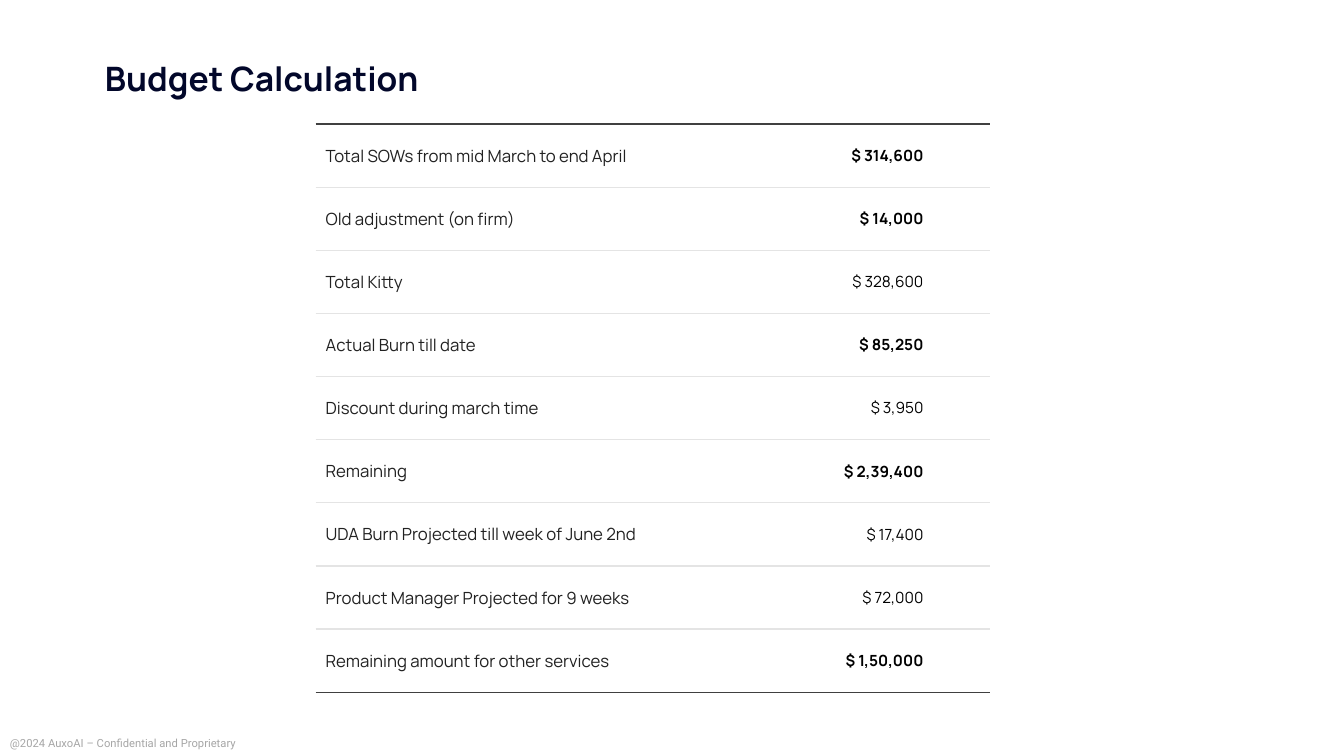
from pptx import Presentation
from pptx import util as u
from pptx.dml import color as c
from pptx.enum import text as t
from pptx.oxml import parse_xml
from pptx.oxml import ns

HUES = {"navy": "02072A", "ink": "212121", "black": "000000",
        "gray": "A6A6A6", "rule": "E4E4E4", "edge": "404040"}


def style(par, hue, **vals):
    for key, val in vals.items():
        setattr(par.font, key, val)
    par.font.color.rgb = c.RGBColor.from_string(HUES[hue])


def border(cell, top, base):
    props = cell._tc.get_or_add_tcPr()
    sides = {"L": None, "R": None, "T": top, "B": base}
    for spot, (side, hue) in enumerate(sides.items()):
        fill = (f'<a:solidFill><a:srgbClr val="{HUES[hue]}"/></a:solidFill>'
                if hue else "<a:noFill/>")
        line = f'<a:ln{side} {ns.nsdecls("a")} w="12700">{fill}</a:ln{side}>'
        props.insert(spot, parse_xml(line))


# Slide
deck = Presentation()
deck.slide_width, deck.slide_height = u.Inches(13.33), u.Inches(7.5)
slide = deck.slides.add_slide(deck.slide_layouts[5])

# Footer
foot = slide.shapes.add_textbox(u.Inches(0), u.Inches(7.26),
                                u.Inches(3.45), u.Inches(0.24))
foot.text_frame.word_wrap = True
foot.text_frame.text = "@2024 AuxoAI – Confidential and Proprietary"
style(foot.text_frame.paragraphs[0], "gray", name="Roboto", size=u.Pt(8))

# Budget table: label, amount, bold amount
rows = [
    ("Total SOWs from mid March to end April", "$ 314,600", True),
    ("Old adjustment (on firm)", "$ 14,000", True),
    ("Total Kitty", "$ 328,600", False),
    ("Actual Burn till date", "$ 85,250", True),
    ("Discount during march time", "$ 3,950", False),
    ("Remaining", "$ 2,39,400", True),
    ("UDA Burn Projected till week of June 2nd", "$ 17,400", False),
    ("Product Manager Projected for 9 weeks", "$ 72,000", False),
    ("Remaining amount for other services", "$ 1,50,000", True),
]
grid = slide.shapes.add_table(len(rows), 2, u.Inches(3.13), u.Inches(1.23),
                              u.Inches(6.69), u.Inches(5.64)).table
grid.first_row = grid.horz_banding = False
for col, width in zip(grid.columns, (3.91, 2.78)):
    col.width = u.Inches(width)

last = len(rows) - 1
for i, (label, sum_, bold) in enumerate(rows):
    looks = [(label, "ink", 12, False, t.PP_ALIGN.LEFT, 0.1),
             (sum_, "black", 11, bold, t.PP_ALIGN.RIGHT, 0.66)]
    for j, (words, hue, size, heavy, side, inset) in enumerate(looks):
        cell = grid.cell(i, j)
        cell.text = words
        cell.vertical_anchor = t.MSO_ANCHOR.MIDDLE
        cell.margin_right = u.Inches(inset)
        cell.fill.background()
        border(cell, "rule" if i else "edge", "rule" if i < last else "edge")
        par = cell.text_frame.paragraphs[0]
        par.alignment = side
        style(par, hue, name="Manrope", size=u.Pt(size), bold=heavy)

# Title
title = slide.shapes.title
place = {"left": 0.99, "top": 0.29, "width": 11.57, "height": 1.02}
for key, val in place.items():
    setattr(title, key, u.Inches(val))
frame = title.text_frame
frame.text = "Budget Calculation"
insets = {"margin_left": 0.05, "margin_right": 0.05,
          "margin_top": 0.03, "margin_bottom": 0.03}
for key, val in insets.items():
    setattr(frame, key, u.Inches(val))
frame.vertical_anchor = t.MSO_ANCHOR.MIDDLE
head = frame.paragraphs[0]
head.alignment = t.PP_ALIGN.LEFT
head.line_spacing = 0.9
style(head, "navy", name="Manrope", size=u.Pt(24), bold=True)

deck.save("out.pptx")
